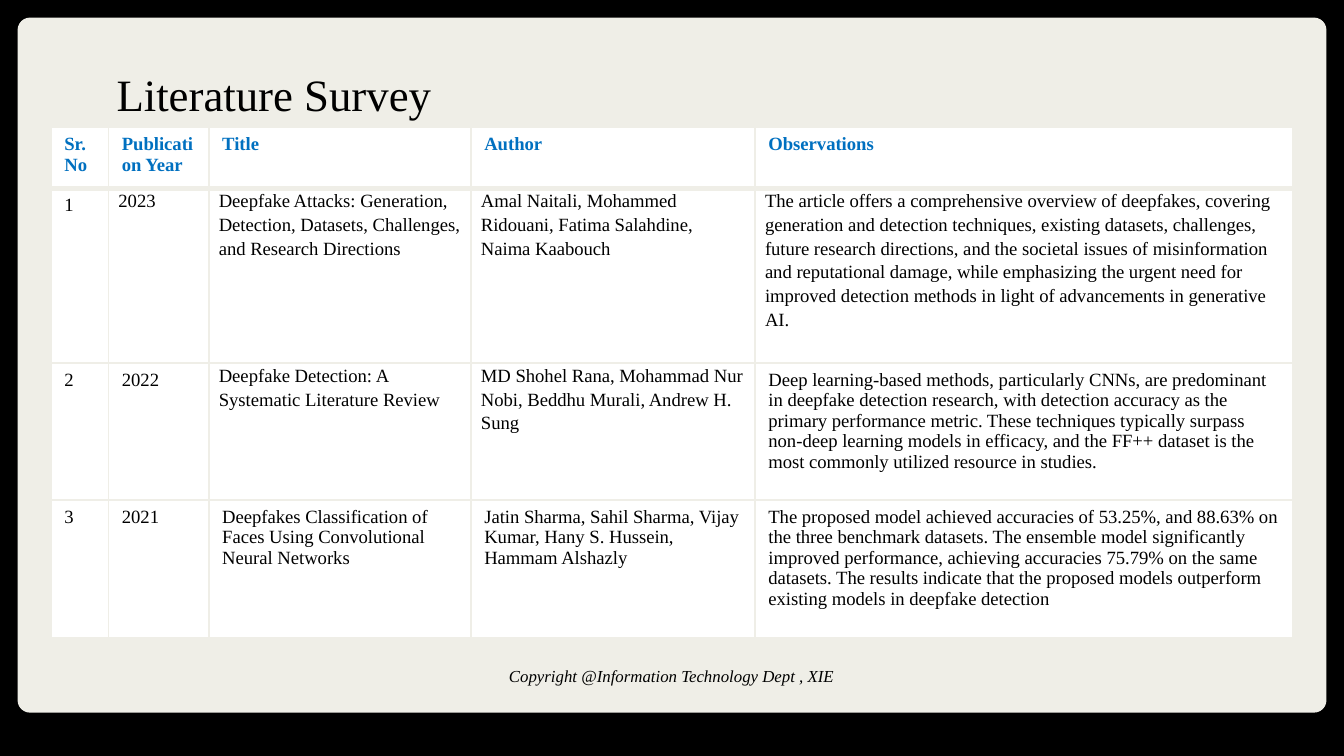
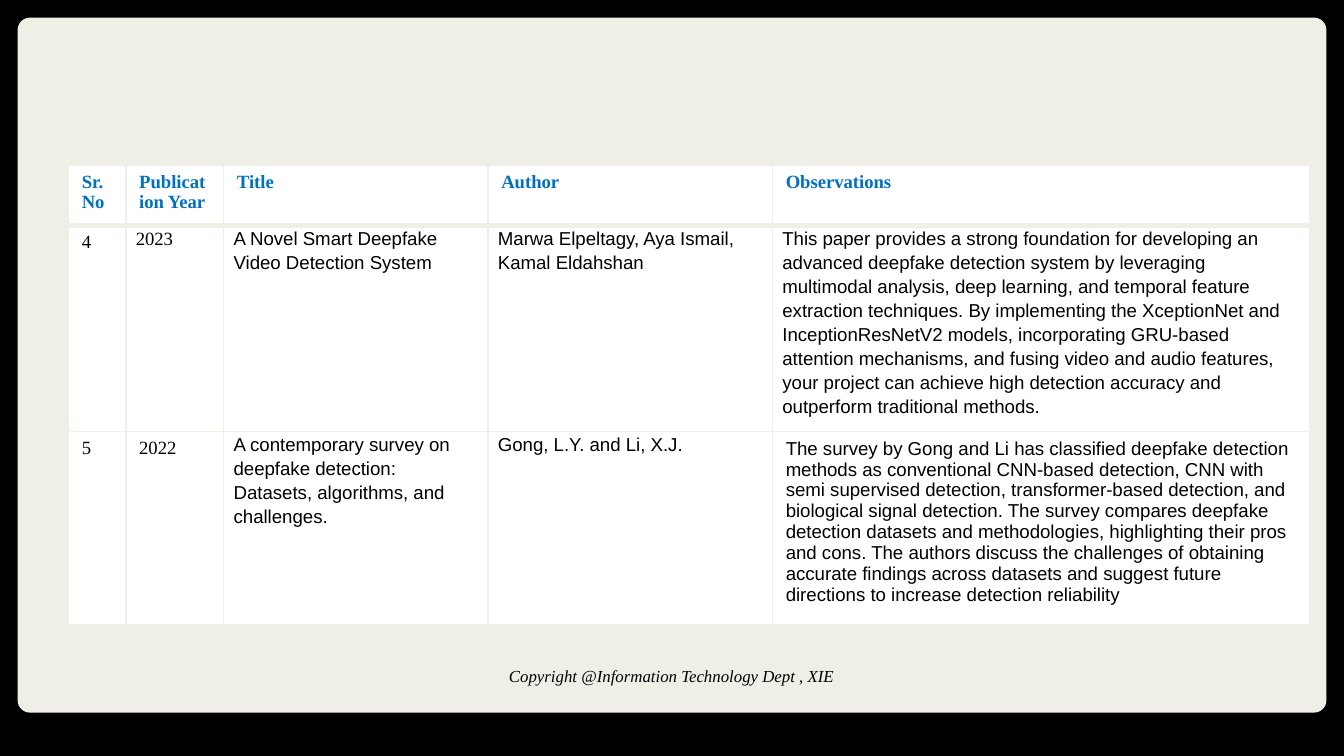
from dataclasses import dataclass

from lxml.etree import SubElement
from pptx import Presentation
from pptx.dml.color import RGBColor
from pptx.enum.shapes import MSO_SHAPE
from pptx.enum.text import PP_ALIGN
from pptx.oxml.ns import qn
from pptx.util import Pt


@dataclass(frozen=True)
class Theme:
    backdrop: str = "000000"
    panel: str = "EFEEE7"
    cell: str = "FFFFFF"
    heading: str = "0070C0"
    ink: str = "000000"
    serif: str = "Times New Roman"
    sans: str = "Arial"
    title_size: float = 24
    table_size: float = 10
    footer_size: float = 9
    thin: float = 1
    thick: float = 3


HEADINGS = ["Sr.No", "Publication Year", "Title", "Author", "Observations"]
FOOTER = "Copyright @Information Technology Dept , XIE"
ALL_TIGHT = {1, 2, 3, 4}
MIDDLE_TIGHT = {2, 3}

FIRST_PAPERS = [
    (["1", "2023",
      "Deepfake Attacks: Generation, Detection, Datasets, Challenges, and Research Directions",
      "Amal Naitali, Mohammed Ridouani, Fatima Salahdine, Naima Kaabouch",
      "The article offers a comprehensive overview of deepfakes, covering generation and "
      "detection techniques, existing datasets, challenges, future research directions, and "
      "the societal issues of misinformation and reputational damage, while emphasizing the "
      "urgent need for improved detection methods in light of advancements in generative AI."],
     ALL_TIGHT),
    (["2", "2022",
      "Deepfake Detection: A Systematic Literature Review",
      "MD Shohel Rana, Mohammad Nur Nobi, Beddhu Murali, Andrew H. Sung",
      "Deep learning-based methods, particularly CNNs, are predominant in deepfake detection "
      "research, with detection accuracy as the primary performance metric. These techniques "
      "typically surpass non-deep learning models in efficacy, and the FF++ dataset is the "
      "most commonly utilized resource in studies."],
     MIDDLE_TIGHT),
    (["3", "2021",
      "Deepfakes Classification of Faces Using Convolutional Neural Networks",
      "Jatin Sharma, Sahil Sharma, Vijay Kumar, Hany S. Hussein, Hammam Alshazly",
      "The proposed model achieved accuracies of 53.25%, and 88.63% on the three benchmark "
      "datasets. The ensemble model significantly improved performance, achieving accuracies "
      "75.79% on the same datasets. The results indicate that the proposed models outperform "
      "existing models in deepfake detection"],
     set()),
]

SECOND_PAPERS = [
    (["4", "2023",
      "A Novel Smart Deepfake Video Detection System",
      "Marwa Elpeltagy, Aya Ismail, Kamal Eldahshan",
      "This paper provides a strong foundation for developing an advanced deepfake detection "
      "system by leveraging multimodal analysis, deep learning, and temporal feature "
      "extraction techniques. By implementing the XceptionNet and InceptionResNetV2 models, "
      "incorporating GRU-based attention mechanisms, and fusing video and audio features, "
      "your project can achieve high detection accuracy and outperform traditional methods."],
     ALL_TIGHT),
    (["5", "2022",
      "A contemporary survey on deepfake detection: Datasets, algorithms, and challenges.",
      "Gong, L.Y. and Li, X.J.",
      "The survey by Gong and Li has classified deepfake detection methods as conventional "
      "CNN-based detection, CNN with semi supervised detection, transformer-based detection, "
      "and biological signal detection. The survey compares deepfake detection datasets and "
      "methodologies, highlighting their pros and cons. The authors discuss the challenges of "
      "obtaining accurate findings across datasets and suggest future directions to increase "
      "detection reliability"],
     MIDDLE_TIGHT),
]


class SurveyDeck:
    def __init__(self, theme):
        self.theme = theme
        self.deck = Presentation()
        self.deck.slide_width, self.deck.slide_height = Pt(720), Pt(405)
        self.page = None

    def add_page(self):
        self.page = self.deck.slides.add_slide(self.deck.slide_layouts[6])
        self.paint(self.page.background.fill, self.theme.backdrop)
        panel = self.page.shapes.add_shape(
            MSO_SHAPE.ROUNDED_RECTANGLE, Pt(9.4), Pt(9.4), Pt(701.2), Pt(372.4))
        panel.adjustments[0] = 0.018
        panel.shadow.inherit = False
        self.paint(panel.fill, self.theme.panel)
        panel.line.fill.background()

    def paint(self, fill, color):
        fill.solid()
        fill.fore_color.rgb = RGBColor.from_string(color)

    def style(self, para, size, color, face=None, bold=False, italic=False):
        font = para.font
        font.name, font.size = face or self.theme.serif, Pt(size)
        font.bold, font.italic = bold, italic
        font.color.rgb = RGBColor.from_string(color)

    def text(self, words, left, top, width, height, inset_top=7.2):
        box = self.page.shapes.add_textbox(Pt(left), Pt(top), Pt(width), Pt(height))
        frame = box.text_frame
        frame.word_wrap = True
        frame.margin_left = frame.margin_right = frame.margin_bottom = Pt(7.2)
        frame.margin_top = Pt(inset_top)
        para = frame.paragraphs[0]
        para.text = words
        return para

    def title(self, words):
        para = self.text(words, 55.4, 26, 607.7, 54.7, inset_top=10)
        self.style(para, self.theme.title_size, self.theme.ink)

    def footer(self):
        para = self.text(FOOTER, 166.3, 352.8, 386.7, 28.8)
        para.alignment = PP_ALIGN.CENTER
        para.line_spacing = 0.9
        self.style(para, self.theme.footer_size, self.theme.ink, italic=True)

    def border(self, cell, row):
        thin, thick = self.theme.thin, self.theme.thick
        widths = {"L": thin, "R": thin,
                  "T": thick if row == 1 else thin,
                  "B": thick if row == 0 else thin}
        properties = cell._tc.get_or_add_tcPr()
        for side, width in widths.items():
            line = SubElement(properties, qn(f"a:ln{side}"), w=str(Pt(width)))
            fill = SubElement(line, qn("a:solidFill"))
            SubElement(fill, qn("a:srgbClr"), val=self.theme.panel)

    def cell(self, cell, words, row, tight, face):
        theme = self.theme
        self.border(cell, row)
        self.paint(cell.fill, theme.cell)
        cell.margin_left = cell.margin_right = Pt(5.4 if tight else 7.2)
        cell.margin_top = cell.margin_bottom = Pt(0 if tight else 3.6)
        para = cell.text_frame.paragraphs[0]
        para.text = words
        if tight:
            para.line_spacing = 1.15
        color = theme.ink if row else theme.heading
        self.style(para, theme.table_size, color, face, bold=row == 0)

    def papers(self, papers, left, top, widths, heights, prose_face):
        rows = [(HEADINGS, set())] + papers
        table = self.page.shapes.add_table(
            len(rows), len(widths), Pt(left), Pt(top),
            Pt(sum(widths)), Pt(sum(heights))).table
        for column, width in zip(table.columns, widths):
            column.width = Pt(width)
        for row, height in zip(table.rows, heights):
            row.height = Pt(height)
        for row, (entries, tight) in enumerate(rows):
            for column, words in enumerate(entries):
                face = prose_face if row and column > 1 else self.theme.serif
                self.cell(table.cell(row, column), words, row, column in tight, face)


def main():
    theme = Theme()
    survey = SurveyDeck(theme)

    survey.add_page()
    survey.title("Literature Survey")
    survey.papers(FIRST_PAPERS, 27.3, 68.4, [30.8, 53.8, 140.4, 152.2, 288],
                  [32.4, 93.6, 73.4, 73.8], theme.serif)
    survey.footer()

    survey.add_page()
    survey.papers(SECOND_PAPERS, 36.6, 88.4, [30.8, 52.4, 141.6, 152.4, 288],
                  [32.4, 93.6, 73.4], theme.sans)
    survey.footer()

    survey.deck.save("out.pptx")


if __name__ == "__main__":
    main()
